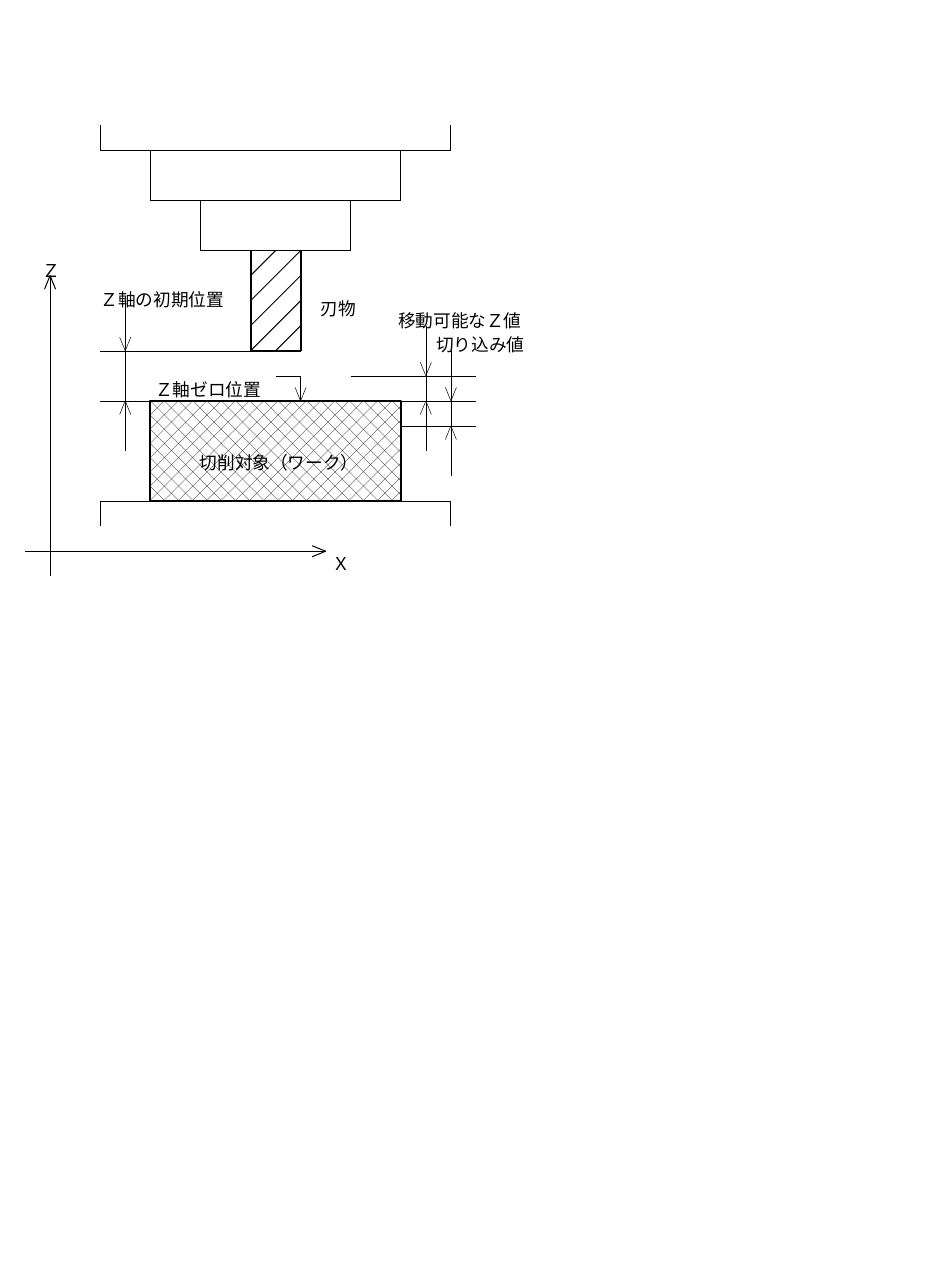
import math

import pptx
import pptx.dml.color
import pptx.enum.dml
import pptx.enum.shapes
import pptx.enum.text
import pptx.oxml.ns
import pptx.util
from lxml import etree

Cm = pptx.util.Cm
Pt = pptx.util.Pt
qn = pptx.oxml.ns.qn

COLORS = {"ink": "000000", "paper": "FFFFFF"}
FONT = "Noto Sans CJK JP"
THIN, MID, BOLD = 0.28, 0.57, 1.13

LABELS = [
    ("刃物", 6.4, 5.74),
    ("Ｚ", 0.84, 4.98),
    ("Ｘ", 6.63, 10.82),
    ("Ｚ軸の初期位置", 2.01, 5.56),
    ("移動可能なＺ値", 7.95, 5.97),
    ("切り込み値", 8.71, 6.45),
    ("Ｚ軸ゼロ位置", 3.1, 7.34),
    ("切削対象（ワーク）", 3.99, 8.81),
]


def color(name):
    return pptx.dml.color.RGBColor.from_string(COLORS[name])


def ink(shape, width):
    shape.line.color.rgb = color("ink")
    shape.line.width = Pt(width)


def line(shapes, x1, y1, x2, y2, width):
    rule = shapes.add_connector(
        pptx.enum.shapes.MSO_CONNECTOR.STRAIGHT, Cm(x1), Cm(y1), Cm(x2), Cm(y2))
    ink(rule, width)
    etree.SubElement(rule._element.spPr, qn("a:effectLst"))


def arrow(shapes, x1, y1, x2, y2, width):
    """Draw a line with an open head at its second end."""
    line(shapes, x1, y1, x2, y2, width)
    size = math.hypot(x2 - x1, y2 - y1)
    dx, dy = (x2 - x1) / size, (y2 - y1) / size
    back, half = 0.27, 0.11
    left, right = [
        (Cm(x2 - back * dx - side * dy), Cm(y2 - back * dy + side * dx))
        for side in (-half, half)]
    pen = shapes.build_freeform(*left)
    pen.add_line_segments([(Cm(x2), Cm(y2)), right], close=False)
    head = pen.convert_to_shape()
    head.shadow.inherit = False
    head.fill.background()
    ink(head, width)


def tray(shapes, left, right, base, end, width):
    """Draw a base line with a wall at each side, from base to end."""
    line(shapes, left, base, right, base, width)
    for x in (left, right):
        line(shapes, x, base, x, end, width)


def gauge(shapes, x, top, bottom):
    """Mark the gap from top to bottom with arrows from outside."""
    arrow(shapes, x, top - 1, x, top, THIN)
    arrow(shapes, x, bottom + 1, x, bottom, THIN)
    line(shapes, x, top, x, bottom, THIN)


def work(shapes):
    block = shapes.add_shape(
        pptx.enum.shapes.MSO_SHAPE.RECTANGLE, Cm(3), Cm(8), Cm(5), Cm(2))
    block.shadow.inherit = False
    block.fill.patterned()
    block.fill.pattern = pptx.enum.dml.MSO_PATTERN.PERCENT_25
    block.fill.fore_color.rgb = color("ink")
    block.fill.back_color.rgb = color("paper")
    ink(block, BOLD)


def label(shapes, text, x, y):
    box = shapes.add_textbox(Cm(x), Cm(y), Cm(0.38 * len(text)), Cm(0.48))
    frame = box.text_frame
    frame.margin_left = frame.margin_right = 0
    frame.margin_top = frame.margin_bottom = 0
    frame.word_wrap = False
    frame.auto_size = pptx.enum.text.MSO_AUTO_SIZE.SHAPE_TO_FIT_TEXT
    frame.text = text
    para = frame.paragraphs[0]
    para.line_spacing = Pt(18)
    run = para.runs[0]
    run.font.size = Pt(10)
    run.font.name = FONT
    run.font.color.rgb = color("ink")
    etree.SubElement(run._r.get_or_add_rPr(), qn("a:ea"), typeface=FONT)


def main():
    deck = pptx.Presentation()
    deck.slide_width, deck.slide_height = Cm(19), Cm(25.7)
    shapes = deck.slides.add_slide(deck.slide_layouts[6]).shapes

    # Spindle steps, machine table and cutter
    for step in range(3):
        tray(shapes, 2 + step, 9 - step, 3 + step, max(2 + step, 2.5), MID)
    tray(shapes, 2, 9, 10, 10.5, MID)
    tray(shapes, 5, 6, 7, 5, BOLD)

    # Cutter hatching, clipped to the cutter's outline
    for step in range(5):
        total = 11 - step * 0.5 + 1.5
        left, right = max(5, total - 7), min(6, total - 5)
        line(shapes, left, total - left, right, total - right, MID)

    arrow(shapes, 1, 11.5, 1, 5.5, MID)
    arrow(shapes, 0.5, 11, 6.5, 11, MID)

    # Level guides and the gaps between them
    for left, right, y in [(2, 5, 7), (2, 3, 8), (7, 9.5, 7.5),
                           (8, 9.5, 8), (8, 9.5, 8.5), (5.5, 6, 7.5)]:
        line(shapes, left, y, right, y, THIN)
    for x, top, bottom in [(2.5, 7, 8), (8.5, 7.5, 8), (9, 8, 8.5)]:
        gauge(shapes, x, top, bottom)
    arrow(shapes, 6, 7.5, 6, 8, THIN)

    work(shapes)
    for text, x, y in LABELS:
        label(shapes, text, x, y)

    deck.save("out.pptx")


if __name__ == "__main__":
    main()
